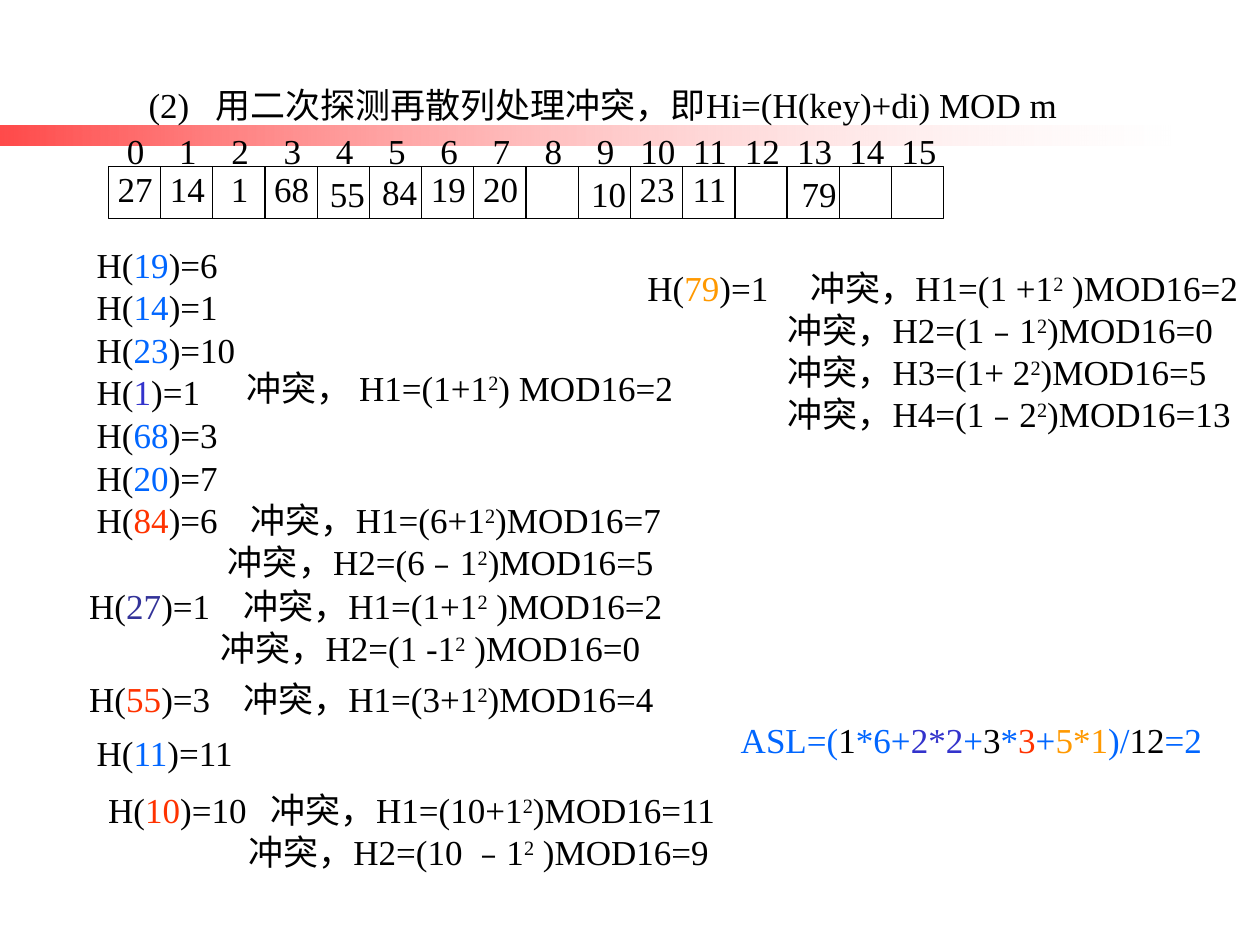
from pptx import Presentation
from pptx.dml.color import RGBColor
from pptx.enum.shapes import MSO_CONNECTOR, MSO_SHAPE
from pptx.enum.text import MSO_ANCHOR, PP_ALIGN
from pptx.oxml.ns import qn
from pptx.util import Pt
from lxml import etree

RECT = MSO_SHAPE.RECTANGLE
STRAIGHT = MSO_CONNECTOR.STRAIGHT
LEFT, CENTER, RIGHT = PP_ALIGN.LEFT, PP_ALIGN.CENTER, PP_ALIGN.RIGHT
TOP = MSO_ANCHOR.TOP

FONT = "Times New Roman"
COLORS = {"text": "000000", "blue": "0066FF", "red": "FF3300", "orange": "FF9900",
          "violet": "3333CC", "indigo": "333399", "white": "FFFFFF", "band": "FF0000"}
LINE_H = 31.7
CELLS = 16


def rgb(name):
    return RGBColor.from_string(COLORS[name])


def add_text(s, box, lines, align=LEFT, tabs=(), tab_align="l", indent=0):
    """Each line is a list of (text, colour) pairs; ^2 marks a superscript 2.
    Lines after the first are indented by indent."""
    tb = s.shapes.add_textbox(*map(Pt, box))
    tf = tb.text_frame
    tf.word_wrap = True
    tf.vertical_anchor = TOP
    if align == LEFT:
        tf.margin_right = 0
    for i, line in enumerate(lines):
        p = tf.paragraphs[0] if i == 0 else tf.add_paragraph()
        p.alignment = align
        pPr = p._p.get_or_add_pPr()
        if i and indent:
            pPr.set("marL", str(Pt(indent)))
        if i == 0 and tabs:
            tab_list = etree.SubElement(pPr, qn("a:tabLst"))
            for pos in tabs:
                etree.SubElement(tab_list, qn("a:tab"), pos=str(Pt(pos)), algn=tab_align)
        for text, color in line:
            for j, piece in enumerate(text.split("^2")):
                if j:
                    add_run(p, "2", color, raised=True)
                add_run(p, piece, color)
    return tb


def add_run(p, text, color, raised=False):
    r = p.add_run()
    r.text = text
    r.font.size = Pt(20)
    r.font.name = FONT
    r.font.color.rgb = rgb(color)
    if raised:
        r._r.get_or_add_rPr().set("baseline", "30000")


def add_band(s, box):
    band = s.shapes.add_shape(RECT, *map(Pt, box))
    band.shadow.inherit = False
    band.line.fill.background()
    band.fill.gradient()
    band.fill.gradient_angle = 180
    for stop, color in zip(band.fill.gradient_stops, ("white", "band")):
        stop.color.rgb = rgb(color)
    for clr, alpha in zip(band._element.spPr.iter(qn("a:srgbClr")), ("18000", "71000")):
        etree.SubElement(clr, qn("a:alpha"), val=alpha)


def add_hash_table(s, box, values):
    """values maps a slot to (key, dx, dy)."""
    x, y, w, h = box
    step = w / CELLS

    # Slot numbers
    add_text(s, (x + 3.6, y - 24.5, w + 5, LINE_H),
             [[("\t".join(map(str, range(CELLS))), "text")]],
             tabs=[5 + i * step for i in range(1, CELLS)], tab_align="ctr")

    # Frame and dividers
    frame = s.shapes.add_shape(RECT, *map(Pt, box))
    frame.shadow.inherit = False
    frame.fill.background()
    frame.line.color.rgb = rgb("text")
    frame.line.width = Pt(0.75)
    for i in range(1, CELLS):
        cx = Pt(x + i * step)
        divider = s.shapes.add_connector(STRAIGHT, cx, Pt(y), cx, Pt(y + h))
        divider.line.color.rgb = rgb("text")
        divider.line.width = Pt(0.75)
        etree.SubElement(divider._element.spPr, qn("a:effectLst"))
        if i == CELLS // 2:
            divider.begin_connect(frame, 0)
            divider.end_connect(frame, 2)

    # Stored keys
    for slot, (key, dx, dy) in values.items():
        add_text(s, (x - 2 + slot * step + dx, y - 3 + dy, 34.6, LINE_H),
                 [[(key, "text")]], align=CENTER)


def add_hash(s, box, key, color, result, probes=(), tab=88, indent=75):
    """H(key)=result, then one line for each collision."""
    first = f")={result}" + (f"\t冲突，{probes[0]}" if probes else "")
    lines = [[("H(", "text"), (key, color), (first, "text")]]
    lines += [[(f"冲突，{probe}", "text")] for probe in probes[1:]]
    add_text(s, box, lines, tabs=[tab] if probes else (), indent=indent)


def add_hash_column(s, box, rows):
    x, y, w, h = box
    step = h / len(rows)
    for i, (key, color, result) in enumerate(rows):
        add_hash(s, (x, y + i * step, w, LINE_H), key, color, result)


def main():
    prs = Presentation()
    prs.slide_width, prs.slide_height = Pt(720), Pt(540)
    s = prs.slides.add_slide(prs.slide_layouts[6])

    # Heading
    add_band(s, (0, 71.5, 669, 11.5))
    add_text(s, (77.8, 43.9, 538.6, LINE_H),
             [[("(2)\t用二次探测再散列处理冲突，即Hi=(H(key)+di) MOD m", "text")]], tabs=[38])

    # Hash table
    add_hash_table(s, (61.9, 95.2, 477.4, 29.7), {
        0: ("27", 0, 0), 1: ("14", 0, 0), 2: ("1", 0, 0), 3: ("68", 0, 0),
        4: ("55", 2, 3), 5: ("84", 2, 1.5), 6: ("19", 0, 0), 7: ("20", 0, 0),
        9: ("10", 2, 3), 10: ("23", 0, 0), 11: ("11", 0, 0), 13: ("79", 3, 3)})

    # Keys placed without a listed second probe
    add_hash_column(s, (48.2, 135.4, 94, 146.1), [
        ("19", "blue", 6), ("14", "blue", 1), ("23", "blue", 10),
        ("1", "violet", 1), ("68", "blue", 3), ("20", "blue", 7)])
    add_text(s, (128.9, 205.9, 262.8, LINE_H),
             [[("冲突， H1=(1+1^2) MOD16=2", "text")]], align=RIGHT)
    add_hash(s, (48.2, 414.7, 94, LINE_H), "11", "blue", 11)

    # Keys with collisions
    add_hash(s, (48.2, 281.5, 342.7, 55.7), "84", "red", 6,
             ["H1=(6+1^2)MOD16=7", "H2=(6﹣1^2)MOD16=5"])
    add_hash(s, (43.9, 330.5, 347.8, 55.7), "27", "indigo", 1,
             ["H1=(1+1^2 )MOD16=2", "H2=(1 -1^2 )MOD16=0"])
    add_hash(s, (43.9, 383.8, 342.7, LINE_H), "55", "red", 3, ["H1=(3+1^2)MOD16=4"])
    add_hash(s, (54.7, 447.1, 367.9, 55.7), "10", "red", 10,
             ["H1=(10+1^2)MOD16=11", "H2=(10 ﹣1^2 )MOD16=9"], tab=93, indent=80)
    add_hash(s, (362.9, 149, 357.8, 103.7), "79", "orange", 1,
             ["H1=(1 +1^2 )MOD16=2", "H2=(1﹣1^2)MOD16=0",
              "H3=(1+ 2^2)MOD16=5", "H4=(1﹣2^2)MOD16=13"], tab=93, indent=80)

    # Average search length
    add_text(s, (416.2, 406.8, 277.9, LINE_H), [[
        ("ASL=(", "blue"), ("1", "text"), ("*6+", "blue"), ("2*2", "violet"),
        ("+", "blue"), ("3", "text"), ("*", "blue"), ("3", "red"), ("+", "blue"),
        ("5*1", "orange"), (")/", "blue"), ("12", "text"), ("=2", "blue")]])

    prs.save("out.pptx")


if __name__ == "__main__":
    main()
